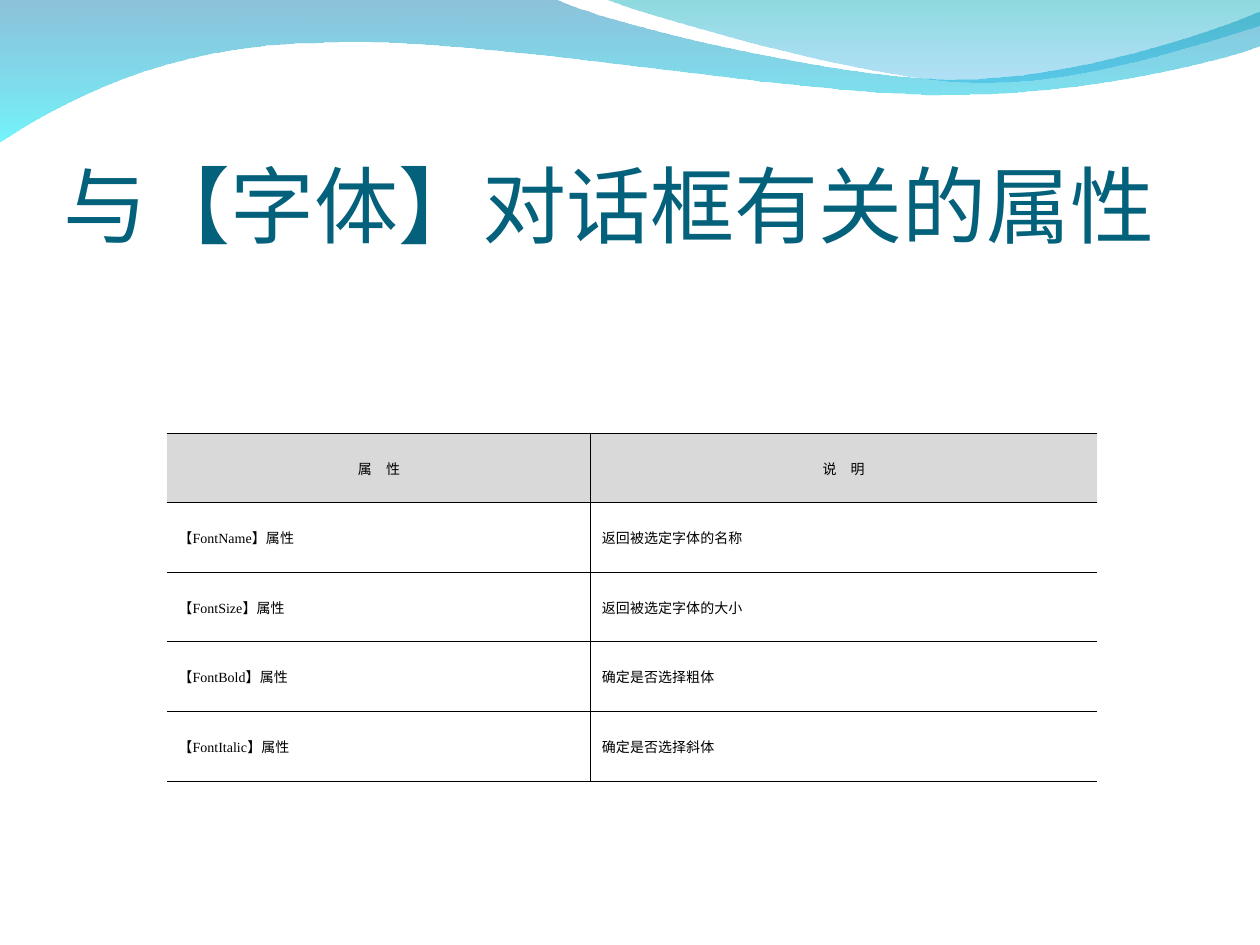
from dataclasses import dataclass

from lxml import etree
from pptx import Presentation
from pptx.dml.color import RGBColor
from pptx.enum.text import MSO_ANCHOR, MSO_AUTO_SIZE, PP_ALIGN
from pptx.oxml.ns import qn
from pptx.util import Pt

LEFT, CENTER = PP_ALIGN.LEFT, PP_ALIGN.CENTER
MIDDLE, BOTTOM = MSO_ANCHOR.MIDDLE, MSO_ANCHOR.BOTTOM
NO_AUTOFIT = MSO_AUTO_SIZE.NONE
TITLE_ONLY_LAYOUT = 5


@dataclass(frozen=True)
class Theme:
    """Colours, fonts and sizes of the slide."""
    title_color: str = "04617B"
    text_color: str = "000000"
    header_fill: str = "D9D9D9"
    border_color: str = "000000"
    border_width: float = 0.45
    title_font: str = "Calibri"
    header_font: str = "Arial"
    body_font: str = "Times New Roman"
    title_size: float = 48
    table_size: float = 8
    band_gradient: tuple = (("0079AF", 45), ("00EBF8", 55))
    crest_gradient: tuple = (("00ADB6", 45), ("009BE5", 30))


THEME = Theme()

BAND_START = (0.72, 0)
BAND_SEGMENTS = [
    [(317.5, 0)],
    [(343, 13), (479, 46), (546.5, 46)],
    [(615, 46), (690.5, 19.5), (720.72, 7.2)],
    [(721.44, 26.64)],
    [(708.5, 32.4), (627, 55.2), (537.84, 54.72)],
    [(448.5, 54.7), (275.5, 21), (185.76, 25)],
    [(93.5, 25.9), (33.8, 60.5), (0, 82.08)],
]
CREST_START = (0, 0)
CREST_SEGMENTS = [
    [(21.6, 8.64), (146.16, 45.36), (208.8, 47.52)],
    [(271.44, 50.4), (347.04, 23.4), (375.12, 15.5)],
    [(375.12, 0.72)],
]

TITLE = "与【字体】对话框有关的属性"
COLUMN_WIDTHS = (242, 289)
ROWS = [
    ("属　性", "说　明"),
    ("【FontName】属性", "返回被选定字体的名称"),
    ("【FontSize】属性", "返回被选定字体的大小"),
    ("【FontBold】属性", "确定是否选择粗体"),
    ("【FontItalic】属性", "确定是否选择斜体"),
]


def curve_segments(shape, segments):
    """Merge each three-point segment of a freeform into a cubic curve."""
    lines = iter(list(shape.element.iter(qn("a:lnTo"))))
    for segment in segments:
        group = [next(lines) for point in segment]
        if len(group) == 3:
            curve = etree.Element(qn("a:cubicBezTo"))
            group[0].addprevious(curve)
            for line in group:
                curve.append(line[0])
                line.getparent().remove(line)


def add_wave(slide, left, top, start, segments, gradient):
    """Draw one translucent gradient wave from the given corner."""
    vertices = [(Pt(left + x), Pt(top + y))
                for x, y in [start, *sum(segments, [])]]
    builder = slide.shapes.build_freeform(*vertices[0])
    builder.add_line_segments(vertices[1:], close=True)
    shape = builder.convert_to_shape()
    curve_segments(shape, segments)
    shape.shadow.inherit = False
    shape.line.fill.background()
    shape.fill.gradient()
    shape.fill.gradient_angle = 270
    for stop, (color, opacity) in zip(shape.fill.gradient_stops, gradient):
        stop.color.rgb = RGBColor.from_string(color)
    for element, (color, opacity) in zip(
            shape.element.spPr.iter(qn("a:srgbClr")), gradient):
        etree.SubElement(element, qn("a:alpha"), val=str(opacity * 1000))


def format_paragraph(paragraph, font_name, size, color, alignment):
    """Set the alignment of a paragraph and the font of its runs."""
    paragraph.alignment = alignment
    for run in paragraph.runs:
        run.font.name = font_name
        run.font.size = Pt(size)
        run.font.color.rgb = RGBColor.from_string(color)


def place_title(slide, left, top, width, height):
    """Fill the title placeholder and bring it in front of the waves."""
    title = slide.shapes.title
    title.left, title.top = Pt(left), Pt(top)
    title.width, title.height = Pt(width), Pt(height)
    frame = title.text_frame
    frame.text = TITLE
    frame.word_wrap = True
    frame.auto_size = NO_AUTOFIT
    frame.vertical_anchor = BOTTOM
    frame.margin_left = frame.margin_right = frame.margin_bottom = 0
    frame.margin_top = Pt(3.6)
    format_paragraph(frame.paragraphs[0], THEME.title_font, THEME.title_size,
                     THEME.title_color, LEFT)
    title.element.getparent().append(title.element)


def add_borders(cell, open_side):
    """Draw solid borders on all sides of a cell but the open one."""
    properties = cell._tc.get_or_add_tcPr()
    for side in "LRTB":
        line = etree.SubElement(properties, qn(f"a:ln{side}"),
                                w=str(Pt(THEME.border_width)))
        if side == open_side:
            etree.SubElement(line, qn("a:noFill"))
        else:
            fill = etree.SubElement(line, qn("a:solidFill"))
            etree.SubElement(fill, qn("a:srgbClr"), val=THEME.border_color)


def format_cell(cell, text, is_header, is_first_column):
    """Write one table cell as a header or a body cell."""
    cell.text_frame.text = text
    cell.vertical_anchor = MIDDLE
    cell.margin_left = cell.margin_right = Pt(6.4)
    cell.margin_top = cell.margin_bottom = Pt(3.6)
    add_borders(cell, "L" if is_first_column else "R")
    paragraph = cell.text_frame.paragraphs[0]
    if is_header:
        cell.fill.solid()
        cell.fill.fore_color.rgb = RGBColor.from_string(THEME.header_fill)
        paragraph.space_before, paragraph.space_after = Pt(4), Pt(3)
    else:
        cell.fill.background()
        paragraph.space_before = paragraph.space_after = Pt(1.2)
    format_paragraph(paragraph,
                     THEME.header_font if is_header else THEME.body_font,
                     THEME.table_size, THEME.text_color,
                     CENTER if is_header else LEFT)


def add_property_table(slide, left, top, width, height):
    """Add the table of font properties inside the given box."""
    table = slide.shapes.add_table(len(ROWS), len(COLUMN_WIDTHS), Pt(left),
                                   Pt(top), Pt(width), Pt(height)).table
    table.first_row = table.horz_banding = False
    for column, column_width in zip(table.columns, COLUMN_WIDTHS):
        column.width = Pt(column_width)
    for row_index, texts in enumerate(ROWS):
        table.rows[row_index].height = Pt(height / len(ROWS))
        for column_index, text in enumerate(texts):
            format_cell(table.cell(row_index, column_index), text,
                        row_index == 0, column_index == 0)


def main():
    """Build and save the presentation."""
    presentation = Presentation()
    presentation.slide_width, presentation.slide_height = Pt(720), Pt(540)
    layout = presentation.slide_layouts[TITLE_ONLY_LAYOUT]
    slide = presentation.slides.add_slide(layout)
    add_wave(slide, -0.72, -0.72, BAND_START, BAND_SEGMENTS,
             THEME.band_gradient)
    add_wave(slide, 344.88, -0.72, CREST_START, CREST_SEGMENTS,
             THEME.crest_gradient)
    place_title(slide, 36, 55.44, 648, 90)
    add_property_table(slide, 95.6, 247.5, sum(COLUMN_WIDTHS), 198.75)
    presentation.save("out.pptx")


if __name__ == "__main__":
    main()
